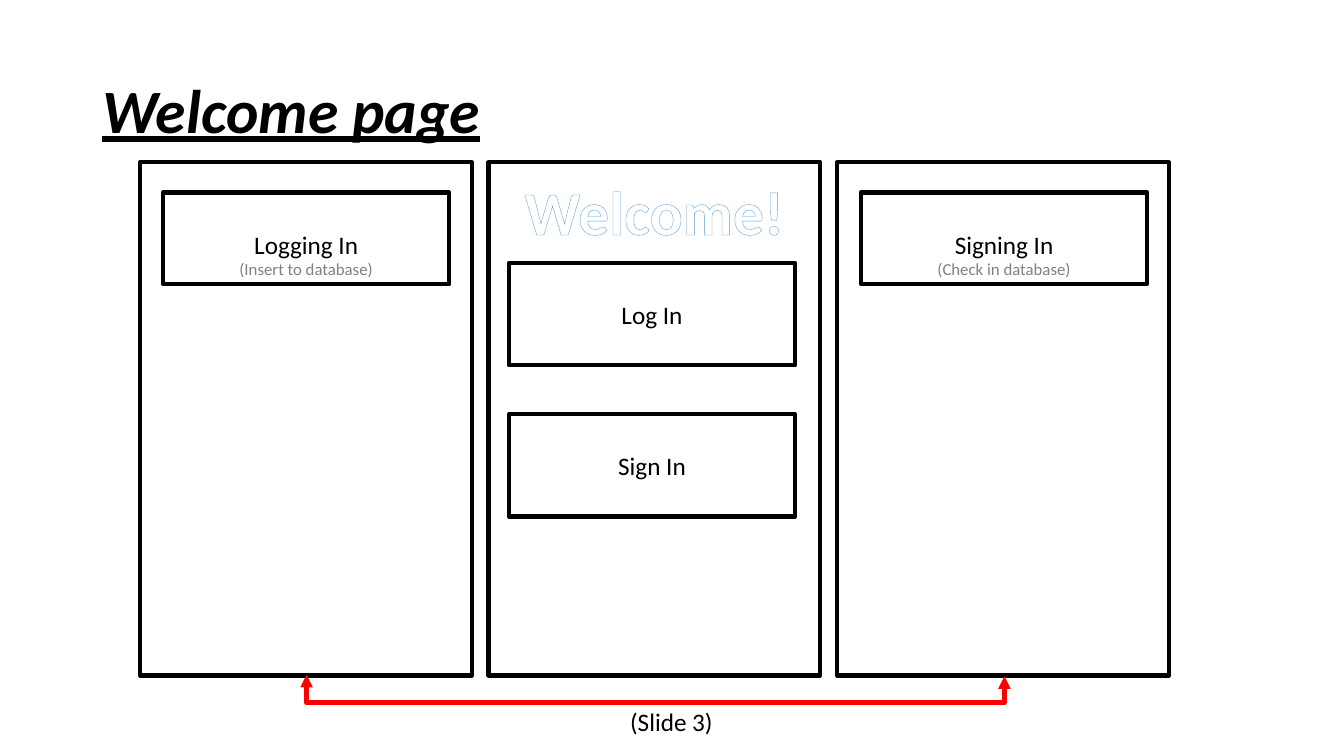
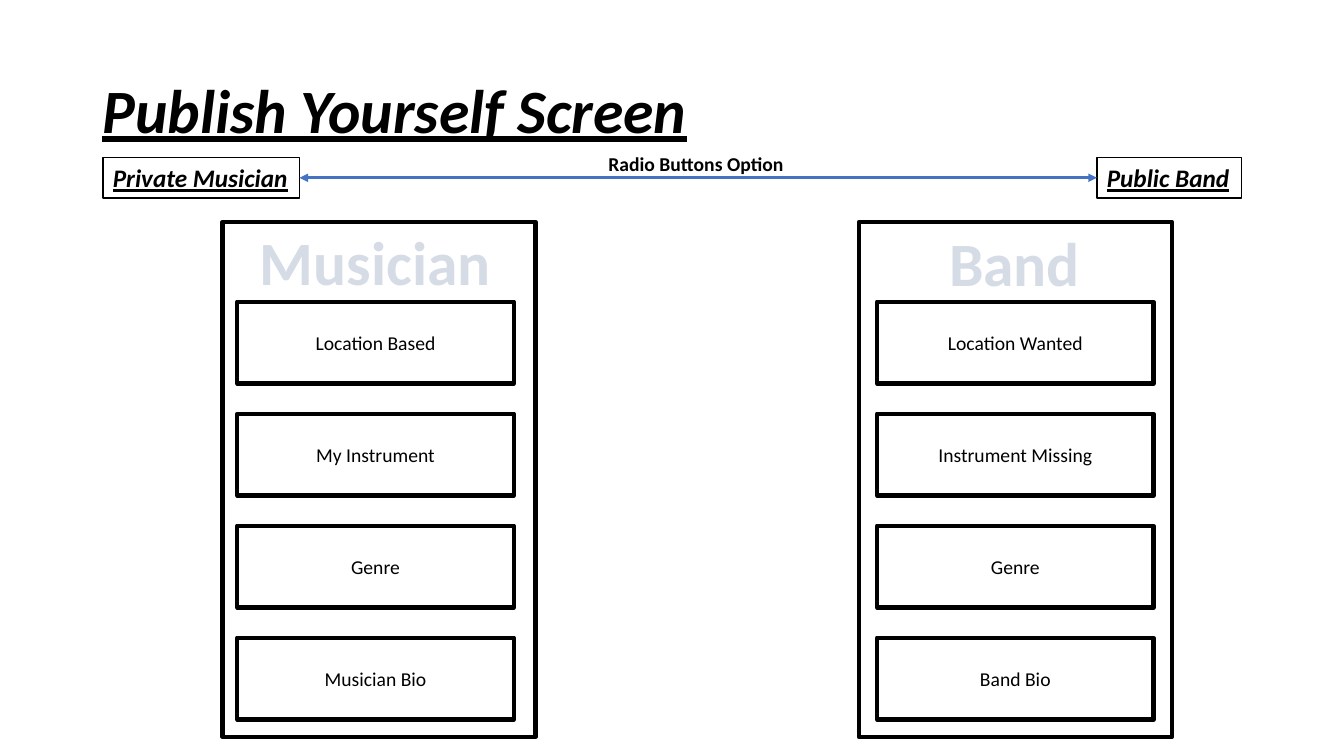
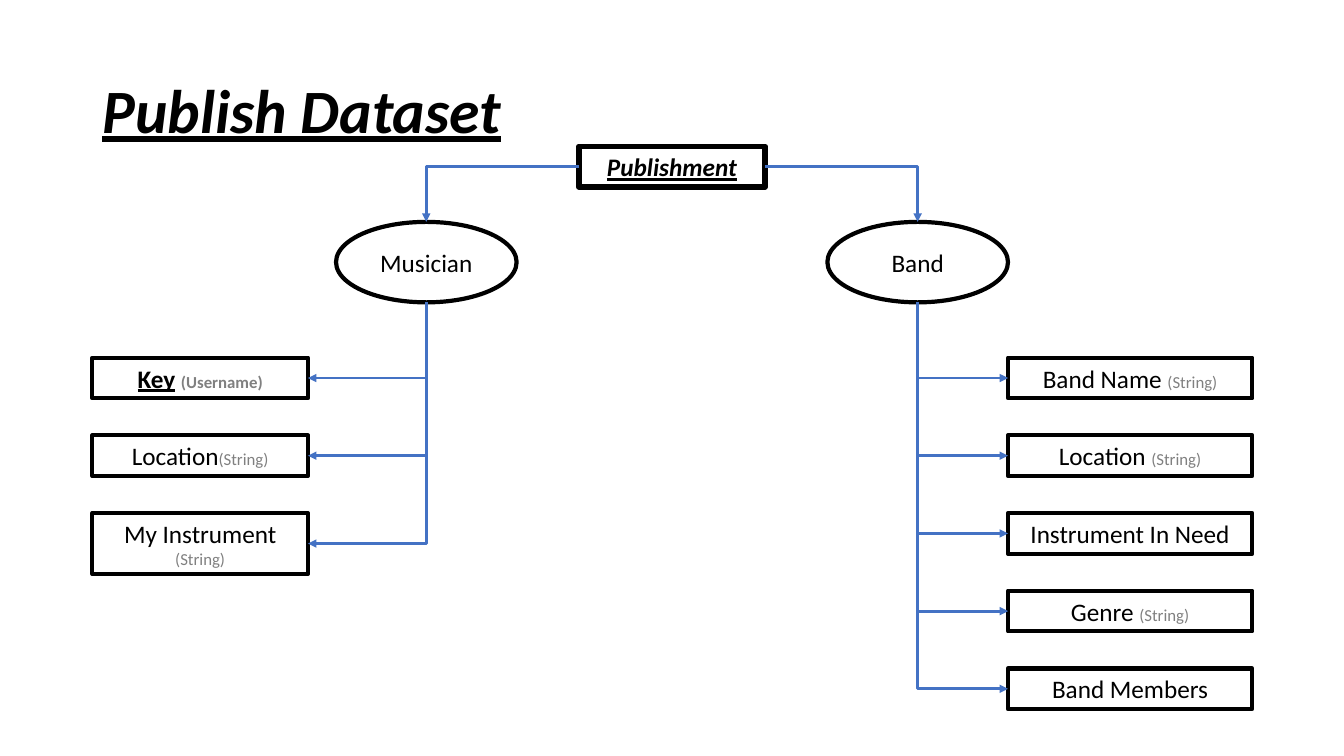
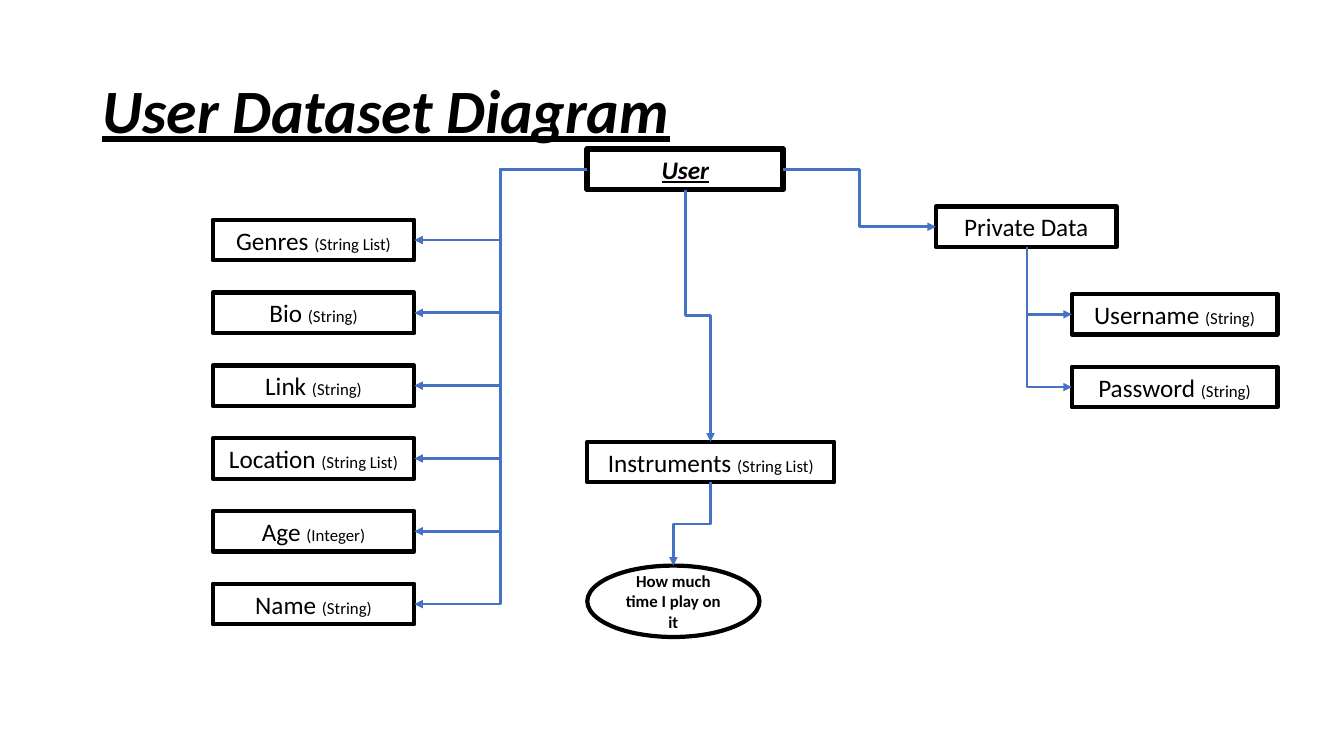
from pptx import Presentation
from pptx import util as u
from pptx.dml.color import RGBColor
from pptx.enum import dml, shapes, text
from pptx.oxml import parse_xml
from pptx.oxml.ns import nsdecls, qn

RECT = shapes.MSO_SHAPE.RECTANGLE
OVAL = shapes.MSO_SHAPE.OVAL
LEFT, MID = text.PP_ALIGN.LEFT, text.PP_ALIGN.CENTER
INK, GREY, BLUE, RED = "000000", "808080", "4472C4", "FF0000"
HEAD = {"bold": True, "italic": True, "underline": True}
ROW = 29  # height of a one-line box


def hue(code):
    """Turn a hex string into a colour."""
    return RGBColor.from_string(code)


def pts(*nums):
    """Turn numbers into point lengths."""
    return [u.Pt(n) for n in nums]


def tag(xml):
    """Build one drawing element from its markup."""
    return parse_xml(f"<a:wrap {nsdecls('a')}>{xml}</a:wrap>")[0]


class Deck:
    """Hold the shared style and the current slide."""

    font = "Calibri"

    def __init__(self):
        """Start a wide, empty deck."""
        self.prs = Presentation()
        self.prs.slide_width, self.prs.slide_height = pts(960, 540)

    def page(self, name):
        """Add a slide and format its title."""
        self.slide = self.prs.slides.add_slide(self.prs.slide_layouts[5])
        head = self.slide.shapes.title
        head.left, head.top, head.width, head.height = pts(66, 28.75, 828, 104.4)
        self.words(head, [[name]], 44, LEFT, **HEAD)
        head.text_frame.paragraphs[0].line_spacing = 0.9

    def words(self, shape, paras, size, align=MID, wrap=True, low=False, **form):
        """Fill a shape with paragraphs, each a list of runs."""
        frame = shape.text_frame
        anchor = text.MSO_ANCHOR.BOTTOM if low else text.MSO_ANCHOR.MIDDLE
        look = {"word_wrap": wrap, "vertical_anchor": anchor,
                "auto_size": text.MSO_AUTO_SIZE.NONE}
        for key, val in look.items():
            setattr(frame, key, val)
        for num, runs in enumerate(paras):
            para = frame.add_paragraph() if num else frame.paragraphs[0]
            para.alignment = align
            for item in runs:
                words, more = (item, {}) if isinstance(item, str) else item
                run = para.add_run()
                run.text = words
                style = {"name": self.font, "size": size, "color": INK, **form, **more}
                run.font.color.rgb = hue(style.pop("color"))
                style["size"] = u.Pt(style["size"])
                for key, val in style.items():
                    setattr(run.font, key, val)

    def box(self, x, y, w, h, paras=(), size=18, kind=RECT, line=3, **form):
        """Draw an unfilled outlined shape, with text if given."""
        shape = self.slide.shapes.add_shape(kind, *pts(x, y, w, h))
        shape.shadow.inherit = False
        shape.fill.background()
        shape.line.color.rgb = hue(INK)
        shape.line.width = u.Pt(line)
        if paras:
            self.words(shape, paras, size, **form)

    def label(self, x, y, w, h, words, size, align=LEFT, **form):
        """Place one line of free text."""
        shape = self.slide.shapes.add_textbox(*pts(x, y, w, h))
        self.words(shape, [[words]], size, align, wrap=False, **form)
        return shape

    def fancy(self, x, y, w, words, pattern, fore, back, edge):
        """Place large pattern-filled, outlined lettering."""
        shape = self.label(x, y, w, 60.5, words, 44, MID, bold=True)
        fill = shape.text_frame.paragraphs[0].runs[0].font.fill
        fill.patterned()
        fill.pattern = pattern
        fill.fore_color.rgb, fill.back_color.rgb = hue(fore), hue(back)
        for props in shape.element.iter(qn("a:rPr")):
            props.insert(0, tag(f'<a:ln w="{u.Pt(1)}"><a:solidFill>'
                                f'<a:srgbClr val="{edge}"/></a:solidFill></a:ln>'))

    def link(self, a, b, bends=0, down=False, both=False, color=BLUE, width=2, adj=None):
        """Join two points with an arrow; down means it leaves vertically."""
        (ax, ay), (bx, by) = a, b
        ends = ax, ay, bx, by
        if down:
            w, h = abs(by - ay), abs(bx - ax)
            x, y = (ax + bx - w) / 2, (ay + by - h) / 2
            ends = x, y, x + w, y + h
        kind = shapes.MSO_CONNECTOR.ELBOW if bends else shapes.MSO_CONNECTOR.STRAIGHT
        line = self.slide.shapes.add_connector(kind, *pts(*ends))
        line.line.color.rgb = hue(color)
        line.line.width = u.Pt(width)
        props = line.element.spPr
        if down:
            turn = {"rot": "16200000", "flipH": "1"} if bx > ax else {"rot": "5400000"}
            for key, val in turn.items():
                props.find(qn("a:xfrm")).set(key, val)
        geom = props.find(qn("a:prstGeom"))
        if bends == 1:
            geom.set("prst", "bentConnector2")
        if adj:
            for old in list(geom):
                geom.remove(old)
            geom.append(tag(f'<a:avLst><a:gd name="adj1" fmla="val {adj}"/></a:avLst>'))
        stroke = props.find(qn("a:ln"))
        for end in ("headEnd", "tailEnd") if both else ("tailEnd",):
            stroke.append(tag(f'<a:{end} type="triangle"/>'))
        props.append(tag("<a:effectLst/>"))


def field(name, note="", color=INK):
    """Give a field name with its small type note."""
    return [[name] + ([(note, {"size": 12, "color": color})] if note else [])]


def welcome(deck):
    """Draw the three welcome screens."""
    deck.page("Welcome page")
    for col in range(3):
        deck.box(100 + 249 * col, 116, 237, 366.5)
    for y, words in (188, "Log In"), (296, "Sign In"):
        deck.box(363.5, y, 204.5, 73, [[words]])
    for x, words, note in ((116.5, "Logging In", "(Insert to database)"),
                           (615, "Signing In", "(Check in database)")):
        deck.box(x, 137.5, 204.5, 65.5,
                 [[words], [(note, {"size": 12, "color": GREY})]], low=True)
    deck.fancy(345.5, 120, 244, "Welcome!", dml.MSO_PATTERN.LIGHT_DOWNWARD_DIAGONAL,
               "9DC3E6", "FFFFFF", "5B9BD5")
    deck.link((219, 482), (717.5, 483), 2, down=True, both=True,
              color=RED, width=3, adj=2000000)
    deck.label(443, 500.5, 74, ROW, "(Slide 3)", 18)


def publish(deck):
    """Draw the musician and band forms."""
    deck.page("Publish Yourself Screen")
    for x, w, words in (73.5, 140.5, "Private Musician"), (783.5, 103.5, "Public Band"):
        deck.box(x, 112.5, w, ROW, [[words]], line=1, align=LEFT, **HEAD)
    deck.link((214, 127), (783.5, 127), both=True)
    deck.label(427.5, 105, 141, 24.5, "Radio Buttons Option", 14, bold=True)
    forms = (
        (159, 169.5, 178, 180.5, 156,
         ("Musician", "Location Based", "My Instrument", "Genre", "Musician Bio")),
        (613.5, 626.5, 670.5, 108.5, 157,
         ("Band", "Location Wanted", "Instrument Missing", "Genre", "Band Bio")),
    )
    for x, inner, left, wide, top, (name, *rows) in forms:
        deck.box(x, 158.5, 223.5, 368)
        for num, words in enumerate(rows):
            deck.box(inner, 215.5 + 80 * num, 197.5, 58.5, [[words]], 14)
        deck.fancy(left, top, wide, name, dml.MSO_PATTERN.DARK_UPWARD_DIAGONAL,
                   "44546A", "D6DCE5", "333F50")


def dataset(deck):
    """Draw the tree of published fields."""
    deck.page("Publish Dataset")
    deck.box(413.5, 104.5, 133, ROW, [["Publishment"]], line=4, **HEAD)
    key = [[("Key", {"underline": True}), " ",
            ("(Username)", {"size": 12, "color": GREY})]]
    left = [key, field("Location", "(String)", GREY),
            field("My Instrument ", "(String)", GREY)]
    right = [field("Band Name ", "(String)", GREY), field("Location ", "(String)", GREY),
             field("Instrument In Need"), field("Genre ", "(String)", GREY),
             field("Band Members")]
    trees = (("Musician", 304.5, 413.5, 66, 154, 220, left),
             ("Band", 655.5, 546.5, 720, 174.5, 720, right))
    for name, mid, start, x, w, edge, rows in trees:
        deck.box(mid - 64.5, 158.5, 129, 57.5, [[name]], kind=OVAL)
        deck.link((start, 119), (mid, 158.5), 1)
        for num, row in enumerate(rows):
            y = 255.5 + 55.5 * num
            h = 43.5 if row is left[2] else ROW
            deck.box(x, y, w, h, row, bold=row is key)
            deck.link((mid, 216), (edge, y + h / 2), 1, down=True)


def user(deck):
    """Draw the tree of user fields."""
    deck.page("User Dataset Diagram")
    deck.box(419.5, 106.5, 140, ROW, [["User"]], line=4, **HEAD)
    facts = (("Genres ", "(String List)"), ("Bio ", "(String)"), ("Link ", "(String)"),
             ("Location ", "(String List)"), ("Age ", "(Integer)"), ("Name ", "(String)"))
    for num, fact in enumerate(facts):
        y = 157 + 52 * num
        deck.box(152, y, 144, ROW, field(*fact))
        deck.link((419.5, 121), (296, y + ROW / 2), 2)
    deck.box(668.5, 147.5, 129, ROW, field("Private Data"))
    deck.link((559.5, 121), (668.5, 162), 2)
    for num, name in enumerate(("Username ", "Password ")):
        y = 210 + 52 * num
        deck.box(765.5, y, 147, ROW, field(name, "(String)"))
        deck.link((733.5, 176.5), (765.5, y + ROW / 2), 1, down=True)
    deck.box(419.5, 315.5, 176.5, ROW, field("Instruments ", "(String List)"))
    deck.link((489.5, 135.5), (507.5, 315.5), 2, down=True)
    deck.box(419.5, 404, 123, 51, [["How much time I play on it"]], 12,
             kind=OVAL, bold=True)
    deck.link((507.5, 344.5), (481, 404), 2, down=True)


deck = Deck()
for draw in welcome, publish, dataset, user:
    draw(deck)
deck.prs.save("out.pptx")
